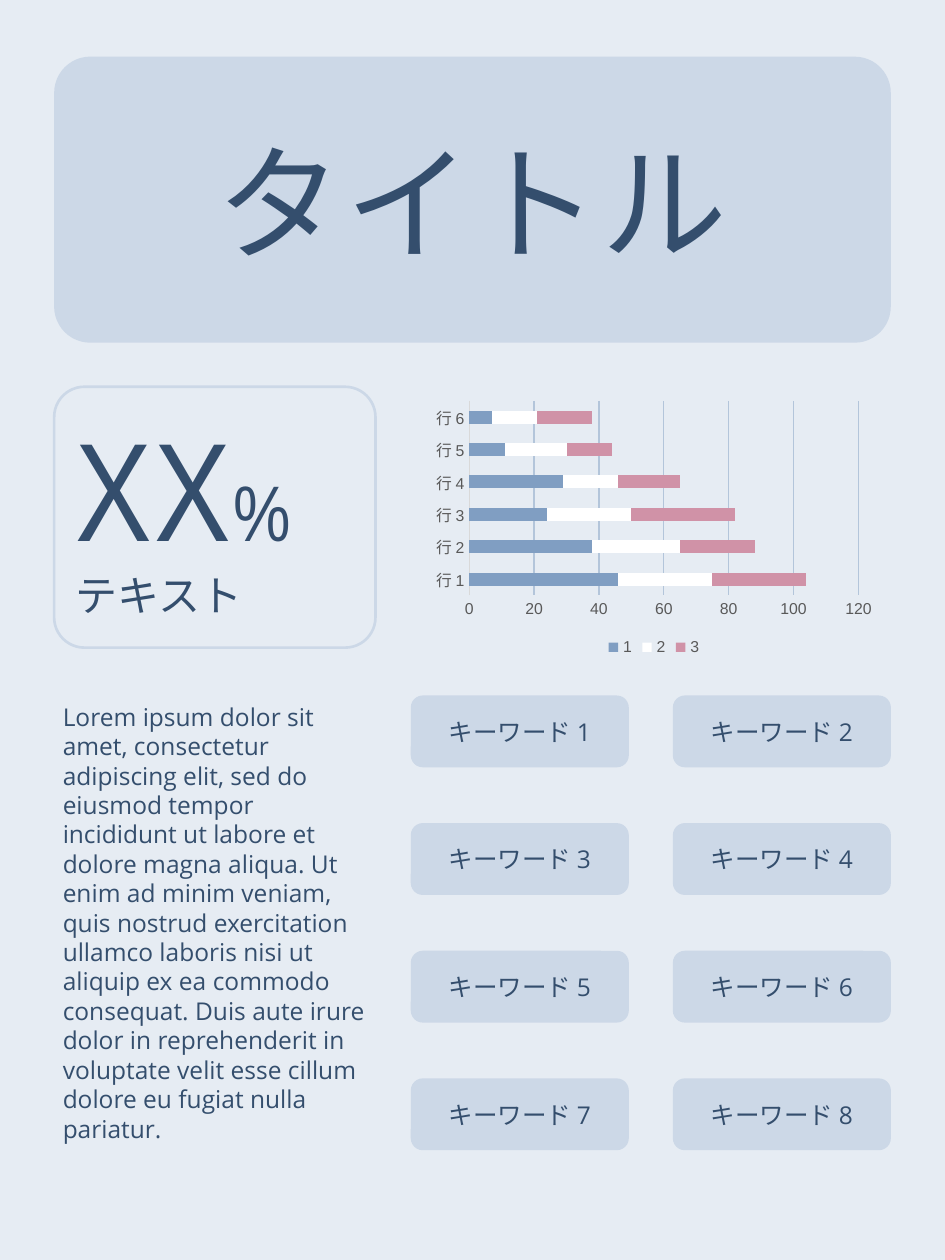
from pptx import Presentation
from pptx.chart.data import CategoryChartData
from pptx.dml.color import RGBColor as RGB
from pptx.enum.chart import XL_CHART_TYPE as ChartType, XL_LEGEND_POSITION as LegendPosition
from pptx.enum.chart import XL_TICK_MARK as TickMark
from pptx.enum.shapes import MSO_SHAPE as Shape
from pptx.enum.text import MSO_ANCHOR as Anchor, MSO_AUTO_SIZE as AutoSize, PP_ALIGN as Align
from pptx.util import Inches, Pt

COLORS = {
    "background": "E6ECF3", "panel": "CCD8E7", "text": "344E6D", "label": "595959",
    "axis": "D9D9D9", "grid": "B3C5DA", "1": "809EC2", "2": "FFFFFF", "3": "D092A7",
}

presentation = Presentation()
presentation.slide_width, presentation.slide_height = Inches(7.5), Inches(10)
slide = presentation.slides.add_slide(presentation.slide_layouts[5])
slide.background.fill.solid()
slide.background.fill.fore_color.rgb = RGB.from_string(COLORS["background"])


def area(left, top, width, height):
    column, row = presentation.slide_width / 100, presentation.slide_height / 100
    return [round(length) for length in (left * column, top * row, width * column, height * row)]


def write(paragraph, text, name, size, spacing=0):
    run = paragraph.add_run()
    run.text = text
    for attribute, value in {"name": name, "size": Pt(size)}.items():
        setattr(run.font, attribute, value)
    run.font.color.rgb = RGB.from_string(COLORS["text"])
    if spacing:
        run.font._element.set("spc", str(spacing))


panels = [
    ("title", area(5.73, 4.5, 88.53, 22.7), 0.126),
    ("figure", area(5.73, 30.7, 34, 20.7), 0.116),
]
for index in range(8):
    row, column = divmod(index, 2)
    place = area(43.47 + 27.73 * column, 55.2 + 10.13 * row, 23.07, 5.7)
    panels.append((f"キーワード {index + 1}", place, 0.167))

for label, place, corner in panels:
    panel = slide.shapes.add_shape(Shape.ROUNDED_RECTANGLE, *place)
    panel.shadow.inherit = False
    panel.adjustments[0] = corner
    frame = panel.text_frame
    paragraph = frame.paragraphs[0]
    if label == "figure":
        panel.fill.background()
        panel.line.color.rgb = RGB.from_string(COLORS["panel"])
        panel.line.width = Pt(1.5)
        frame.vertical_anchor = Anchor.TOP
        write(paragraph, "XX", "Arial Narrow", 80, 140)
        write(paragraph, "%", "Arial Narrow", 45, 140)
        caption = frame.add_paragraph()
        write(caption, "テキスト", "Open Sans", 24)
        paragraph.alignment = caption.alignment = Align.LEFT
        continue
    panel.fill.solid()
    panel.fill.fore_color.rgb = RGB.from_string(COLORS["panel"])
    panel.line.fill.background()
    if label == "title":
        title = slide.shapes.title
        panel._element.addnext(title._element)
        for attribute, value in zip(("left", "top", "width", "height"), place):
            setattr(title, attribute, value)
        frame = title.text_frame
        frame.auto_size = AutoSize.NONE
        paragraph = frame.paragraphs[0]
        write(paragraph, "タイトル", "Arial Narrow", 72, 140)
    else:
        write(paragraph, label, "Open Sans", 14)
    frame.vertical_anchor = Anchor.MIDDLE
    paragraph.alignment = Align.CENTER

body = slide.shapes.add_textbox(*area(5.33, 55.2, 34.67, 36))
body.text_frame.word_wrap = True
write(
    body.text_frame.paragraphs[0],
    "Lorem ipsum dolor sit amet, consectetur adipiscing elit, sed do eiusmod tempor "
    "incididunt ut labore et dolore magna aliqua. Ut enim ad minim veniam, quis nostrud "
    "exercitation ullamco laboris nisi ut aliquip ex ea commodo consequat. Duis aute irure "
    "dolor in reprehenderit in voluptate velit esse cillum dolore eu fugiat nulla pariatur.",
    "Open Sans", 14,
)

data = CategoryChartData()
data.categories = [f"行 {number}" for number in range(1, 7)]
data.add_series("1", (46, 38, 24, 29, 11, 7))
data.add_series("2", (29, 27, 26, 17, 19, 14))
data.add_series("3", (29, 23, 32, 19, 14, 17))
chart = slide.shapes.add_chart(
    ChartType.BAR_STACKED, *area(45.2, 31.4, 48, 21.1), data
).chart
chart.has_title = False
chart.has_legend = True
chart.legend.position = LegendPosition.BOTTOM
chart.legend.include_in_layout = False
for font in (chart.font, chart.legend.font,
             chart.category_axis.tick_labels.font, chart.value_axis.tick_labels.font):
    font.name, font.size = "Arial", Pt(9)
    font.color.rgb = RGB.from_string(COLORS["label"])

plot = chart.plots[0]
plot.gap_width, plot.overlap, plot.vary_by_categories = 150, 100, False
for series in plot.series:
    series.format.fill.solid()
    series.format.fill.fore_color.rgb = RGB.from_string(COLORS[series.name])

values = chart.value_axis
values.minimum_scale, values.maximum_scale, values.major_unit = 0, 120, 20
values.has_major_gridlines = True
for axis in (chart.category_axis, values):
    axis.major_tick_mark = axis.minor_tick_mark = TickMark.NONE
for line, color in ((chart.category_axis.format.line, "axis"),
                    (values.major_gridlines.format.line, "grid")):
    line.width = Pt(0.75)
    line.color.rgb = RGB.from_string(COLORS[color])
values.format.line.fill.background()

presentation.save("out.pptx")
